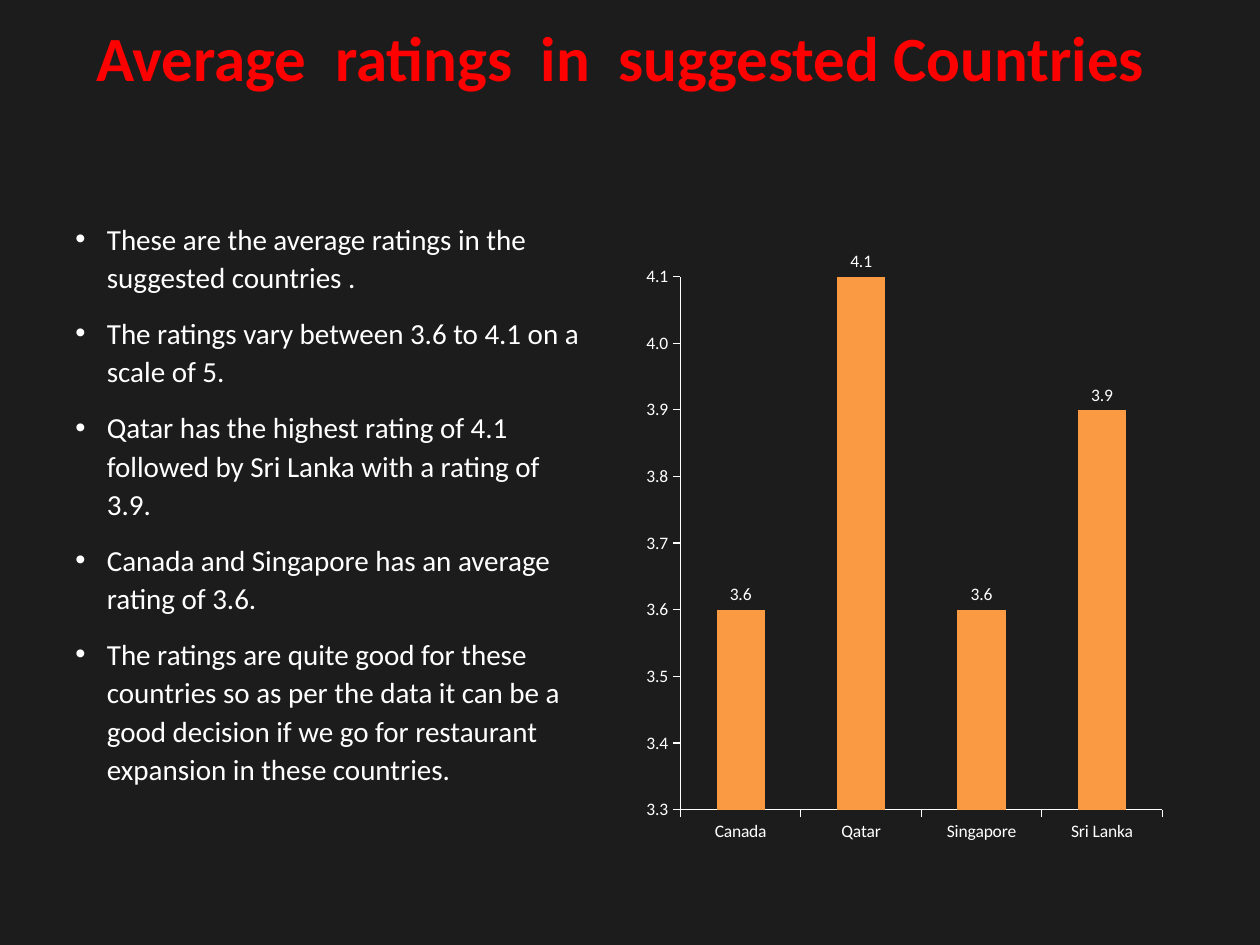
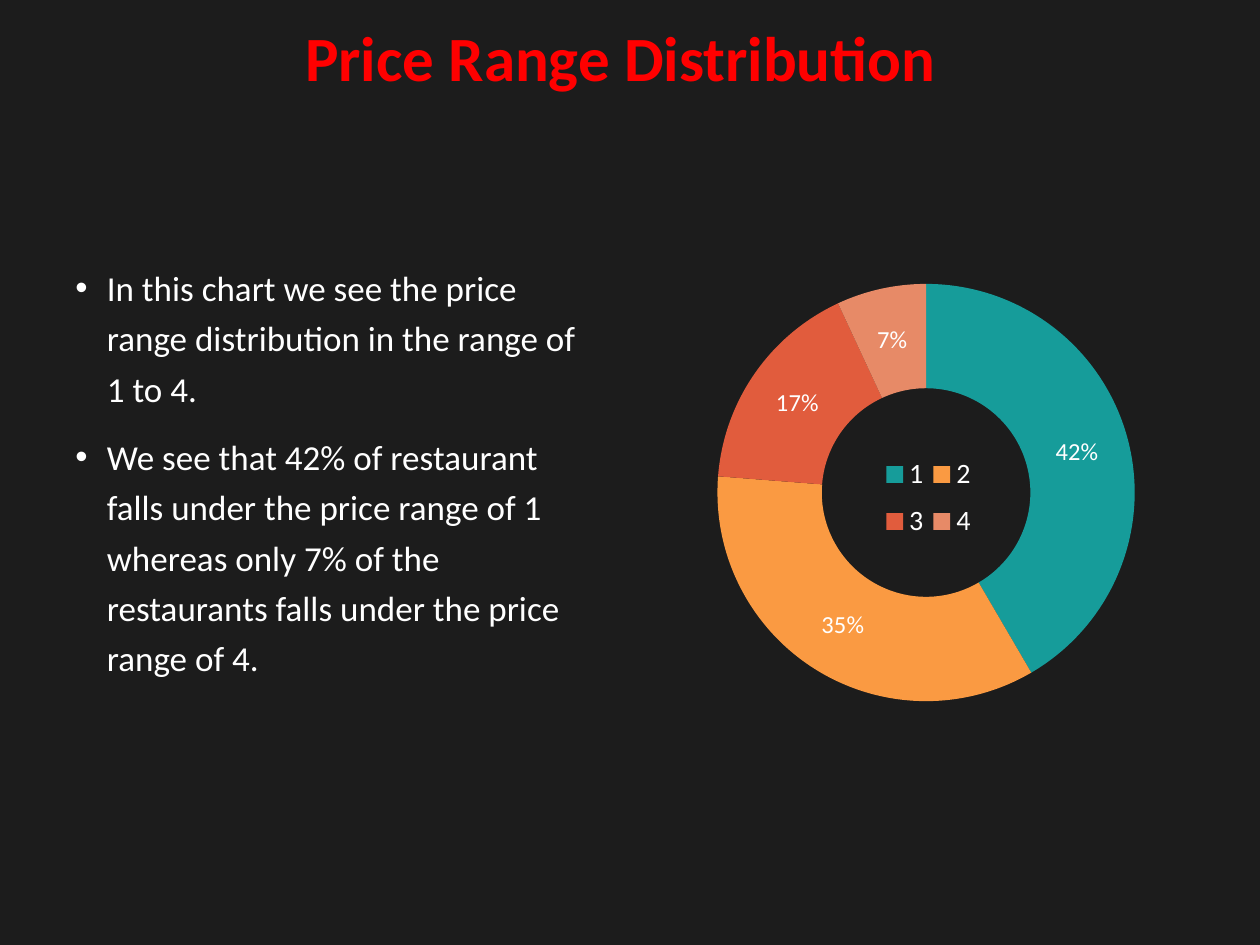
from lxml import etree
from pptx import Presentation
from pptx.chart.data import CategoryChartData
from pptx.dml.color import RGBColor
from pptx.enum.chart import XL_CHART_TYPE, XL_LABEL_POSITION, XL_LEGEND_POSITION, XL_TICK_MARK
from pptx.enum.text import MSO_ANCHOR, PP_ALIGN
from pptx.oxml.ns import qn
from pptx.util import Inches, Pt

COLUMN, DOUGHNUT = XL_CHART_TYPE.COLUMN_CLUSTERED, XL_CHART_TYPE.DOUGHNUT
OUTSIDE_END = XL_LABEL_POSITION.OUTSIDE_END
LEGEND_RIGHT = XL_LEGEND_POSITION.RIGHT
TICK_OUT = XL_TICK_MARK.OUTSIDE
TOP, CENTER, LEFT = MSO_ANCHOR.TOP, PP_ALIGN.CENTER, PP_ALIGN.LEFT

FONT = "Calibri"
DARK, WHITE, RED = "1C1C1C", "FFFFFF", "FF0000"
TEAL, ORANGE, BRICK, SALMON = "169C9A", "FA9A42", "E15C3D", "E78A67"

WIDTH, HEIGHT = 10, 7.5
MARGIN = 0.05 * WIDTH
COLUMN_WIDTH = 4.25
TITLE_BOX = (MARGIN, 0.17, 8.85, 1.3)

RATINGS = {
    "title": "Average  ratings  in  suggested Countries",
    "points": [
        "These are the average ratings in the suggested countries .",
        "The ratings vary between 3.6 to 4.1 on a scale of 5.",
        "Qatar has the highest rating of 4.1 followed by Sri Lanka with a rating of 3.9.",
        "Canada and Singapore has an average rating of 3.6.",
        "The ratings are quite good for these countries so as per the data it can be a "
        "good decision if we go for restaurant expansion in these countries.",
    ],
    "points_box": (MARGIN, 1.68, COLUMN_WIDTH, 5.06),
    "points_format": {"size": 16.6, "line": 1.1},
    "values": {"Canada": 3.6, "Qatar": 4.1, "Singapore": 3.6, "Sri Lanka": 3.9},
    "chart_box": (5.06, 2, COLUMN_WIDTH, 4.76),
    "plot_share": (0.08, 0.04, 0.9, 0.89),
}
PRICES = {
    "title": "Price Range Distribution",
    "points": [
        "In this chart we see the price range distribution in the range of 1 to 4.",
        "We see that 42% of restaurant falls under the price range of 1 whereas only 7% "
        "of the restaurants falls under the price range of 4.",
    ],
    "points_box": (MARGIN, 2, COLUMN_WIDTH, 4.76),
    "points_format": {"size": 20, "line": 1.2},
    "values": {"1": 42, "2": 35, "3": 17, "4": 7},
    "chart_box": (5.55, 1.78, 3.6, 4.26),
    "plot_share": (0.04, 0.11, 0.92, 0.78),
}
SLICE_COLORS = [TEAL, ORANGE, BRICK, SALMON]
LEGEND_SHARE = (0.39, 0.41, 0.23, 0.2)


def rgb(color):
    return RGBColor.from_string(color)


def paint(target, color):
    target.fill.solid()
    target.fill.fore_color.rgb = rgb(color)


def style(font, size, color=WHITE, bold=False):
    font.name, font.size, font.bold = FONT, Pt(size), bold
    font.color.rgb = rgb(color)


def add_text(slide, box, paragraphs, size, line, color=WHITE, bold=False,
             align=LEFT, before=0, bullet=None):
    frame = slide.shapes.add_textbox(*map(Inches, box)).text_frame
    frame.word_wrap, frame.vertical_anchor = True, TOP
    for index, words in enumerate(paragraphs):
        paragraph = frame.add_paragraph() if index else frame.paragraphs[0]
        paragraph.alignment, paragraph.line_spacing = align, line
        paragraph.space_before = Pt(before)
        run = paragraph.add_run()
        run.text = words
        style(run.font, size, color, bold)
        if bullet:
            properties = paragraph._p.get_or_add_pPr()
            properties.set("marL", str(Inches(0.25)))
            properties.set("indent", str(-Inches(0.25)))
            etree.SubElement(properties, qn("a:buFont"), typeface="Arial")
            etree.SubElement(properties, qn("a:buChar"), char=bullet)


def place(part, share, position, inner=False):
    for earlier in part.findall(qn("c:layout")):
        part.remove(earlier)
    layout = etree.Element(qn("c:layout"))
    manual = etree.SubElement(layout, qn("c:manualLayout"))
    settings = [("layoutTarget", "inner")] if inner else []
    settings += [("xMode", "edge"), ("yMode", "edge"), *zip("xywh", share)]
    for tag, value in settings:
        etree.SubElement(manual, qn(f"c:{tag}"), val=str(value))
    part.insert(position, layout)


def add_chart(slide, content, kind):
    data = CategoryChartData()
    data.categories = list(content["values"])
    data.add_series("Series 1", list(content["values"].values()))
    chart = slide.shapes.add_chart(kind, *map(Inches, content["chart_box"]), data).chart
    chart.has_title = chart.has_legend = False
    style(chart.font, 10)
    place(chart._chartSpace.find(".//" + qn("c:plotArea")), content["plot_share"], 0, inner=True)
    chart.plots[0].has_data_labels = True
    return chart


def format_ratings(chart):
    plot = chart.plots[0]
    plot.gap_width, plot.vary_by_categories = 150, False
    paint(plot.series[0].format, ORANGE)
    labels = plot.data_labels
    labels.show_value, labels.position = True, OUTSIDE_END
    scale = chart.value_axis
    scale.minimum_scale, scale.maximum_scale, scale.major_unit = 3.3, 4.1, 0.1
    scale.has_major_gridlines = False
    for numbers in (labels, scale.tick_labels):
        numbers.number_format, numbers.number_format_is_linked = "0.0", False
    for axis in (chart.category_axis, scale):
        axis.major_tick_mark = TICK_OUT
        axis.format.line.color.rgb = rgb(WHITE)
        axis.format.line.width = Pt(0.75)


def format_prices(chart):
    plot = chart.plots[0]
    plot.vary_by_categories = True
    for index, color in enumerate(SLICE_COLORS):
        price_slice = plot.series[0].points[index].format
        paint(price_slice, color)
        price_slice.line.fill.background()
    labels = plot.data_labels
    labels.show_percentage, labels.show_value = True, False
    labels.number_format, labels.number_format_is_linked = "0%", False
    style(labels.font, 14)
    chart.has_legend = True
    legend = chart.legend
    legend.position, legend.include_in_layout = LEGEND_RIGHT, True
    style(legend.font, 16)
    place(legend._element, LEGEND_SHARE, 1)


def main():
    deck = Presentation()
    deck.slide_width, deck.slide_height = Inches(WIDTH), Inches(HEIGHT)
    for content, kind, format_chart in [(RATINGS, COLUMN, format_ratings),
                                        (PRICES, DOUGHNUT, format_prices)]:
        slide = deck.slides.add_slide(deck.slide_layouts[6])
        paint(slide.background, DARK)
        add_text(slide, TITLE_BOX, [content["title"]], size=36, line=0.9,
                 color=RED, bold=True, align=CENTER)
        add_text(slide, content["points_box"], content["points"], before=10,
                 bullet="•", **content["points_format"])
        format_chart(add_chart(slide, content, kind))
    deck.save("out.pptx")


if __name__ == "__main__":
    main()
